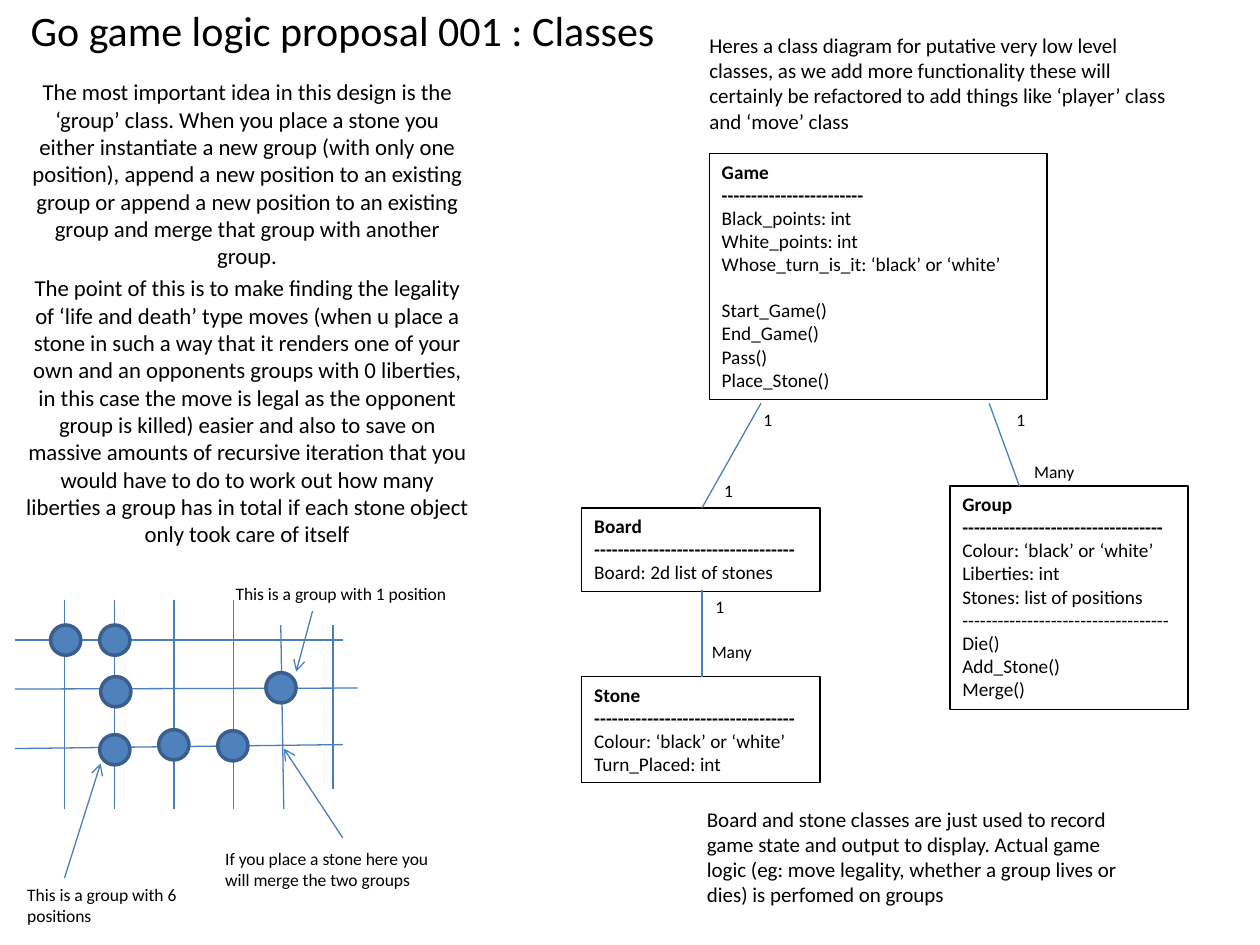
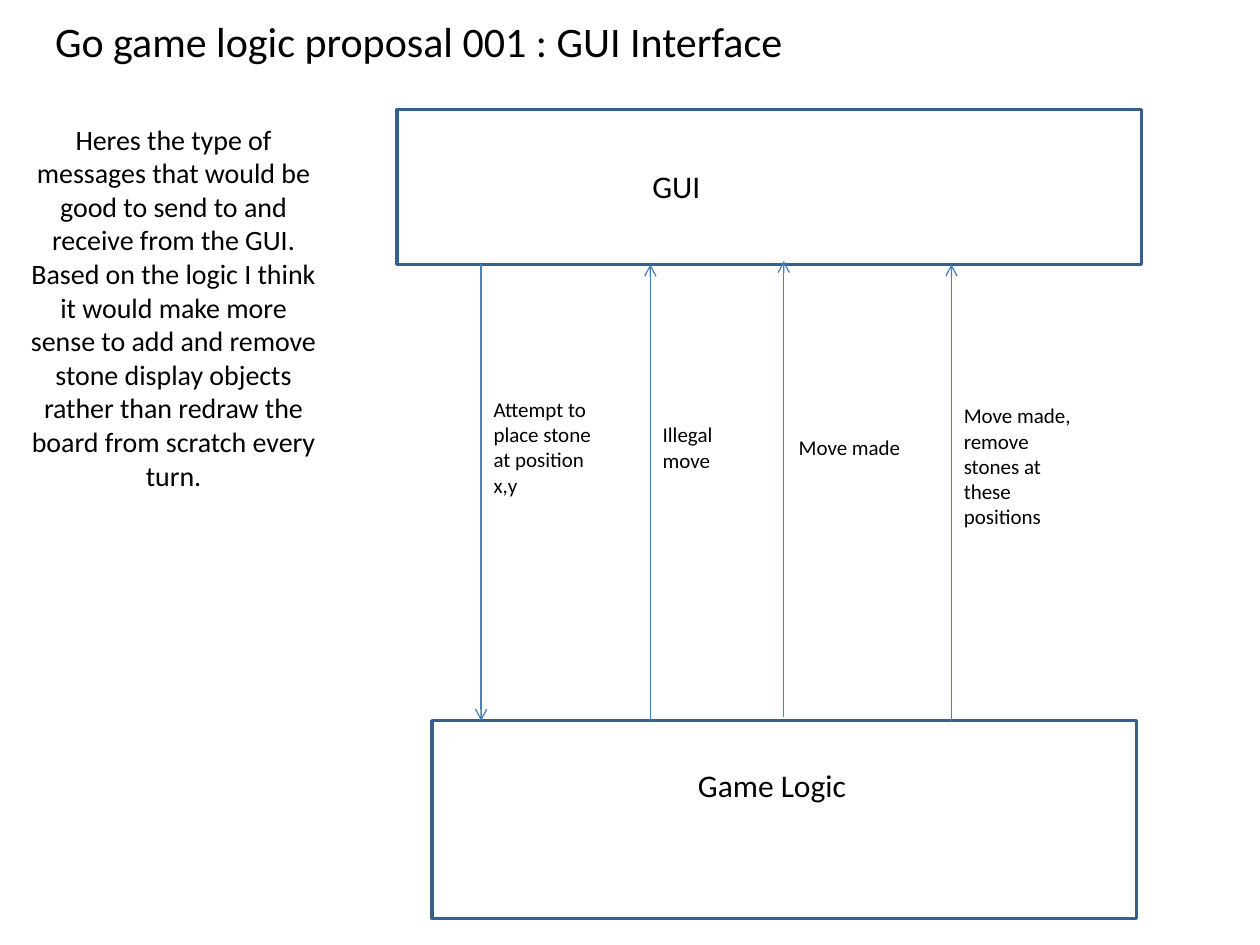
from dataclasses import dataclass

from lxml import etree
from pptx import Presentation
from pptx.dml import color
from pptx.enum import shapes, text
from pptx.oxml import ns
from pptx.util import Cm, Pt


@dataclass(frozen=True)
class Theme:
    font: str = "Calibri"
    ink: color.RGBColor = color.RGBColor.from_string("000000")
    stone: color.RGBColor = color.RGBColor.from_string("4F81BD")
    border: color.RGBColor = color.RGBColor.from_string("3A5F8C")
    line: color.RGBColor = color.RGBColor.from_string("4B7EBC")
    thin: float = 0.75
    thick: float = 2
    title: int = 24
    component: int = 18
    message_intro: int = 16
    design_intro: int = 13
    body: int = 12
    members: int = 11
    caption: int = 10


THEME = Theme()
CENTER = text.PP_ALIGN.CENTER

presentation = Presentation()
presentation.slide_width = Cm(25.4)
presentation.slide_height = Cm(19.05)
blank = presentation.slide_layouts[6]


def add_text(slide, lines, place, size, align=None, anchor=None, bold_lines=0,
             space_before=0, gap_at=None):
    """Add a text box with one paragraph a line; gap_at leaves a line free above it."""
    box = slide.shapes.add_textbox(*map(Cm, place))
    frame = box.text_frame
    frame.word_wrap = True
    frame.vertical_anchor = anchor
    for index, line in enumerate(lines):
        paragraph = frame.paragraphs[0] if index == 0 else frame.add_paragraph()
        paragraph.alignment = align
        paragraph.space_before = Pt(size * 1.2 if index == gap_at else space_before)
        run = paragraph.add_run()
        run.text = line
        run.font.name = THEME.font
        run.font.size = Pt(size)
        run.font.bold = index < bold_lines
        run.font.color.rgb = THEME.ink
    return box


def add_line(slide, ends, arrow=False):
    """Draw a thin straight line from x1, y1 to x2, y2, with an arrowhead if asked."""
    connector = slide.shapes.add_connector(shapes.MSO_CONNECTOR.STRAIGHT, *map(Cm, ends))
    connector.line.color.rgb = THEME.line
    connector.line.width = Pt(THEME.thin)
    if arrow:
        etree.SubElement(connector.line._get_or_add_ln(), ns.qn("a:tailEnd"), type="arrow")
    etree.SubElement(connector._element.spPr, ns.qn("a:effectLst"))


# Titles and introductions of both slides
pages = [
    ("Classes", (-1.09, -0.51, 16, 2.21), (0.28, 1.45, 9.4, 10.31), THEME.design_intro, [
        "The most important idea in this design is the ‘group’ class. When you place a stone "
        "you either instantiate a new group (with only one position), append a new position "
        "to an existing group or append a new position to an existing group and merge that "
        "group with another group.",
        "The point of this is to make finding the legality of ‘life and death’ type moves "
        "(when u place a stone in such a way that it renders one of your own and an opponents "
        "groups with 0 liberties, in this case the move is legal as the opponent group is "
        "killed) easier and also to save on massive amounts of recursive iteration that you "
        "would have to do to work out how many liberties a group has in total if each stone "
        "object only took care of itself"]),
    ("GUI Interface", (-2.11, -0.28, 21.11, 2.21), (0.3, 2.34, 6.4, 9.6), THEME.message_intro, [
        "Heres the type of messages that would be good to send to and receive from the GUI. "
        "Based on the logic I think it would make more sense to add and remove stone display "
        "objects rather than redraw the board from scratch every turn."]),
]
slides = []
for topic, title_place, intro_place, intro_size, intro in pages:
    slide = presentation.slides.add_slide(blank)
    add_text(slide, [f"Go game logic proposal 001 : {topic}"], title_place, THEME.title,
             align=CENTER, anchor=text.MSO_ANCHOR.MIDDLE)
    add_text(slide, intro, intro_place, intro_size, align=CENTER,
             space_before=intro_size * 0.2)
    slides.append(slide)
class_slide, gui_slide = slides

# Slide 1: the board with its stones
board_rows = [(0.3, 12.9, 6.91, 12.9), (0.3, 13.89, 7.21, 13.87), (0.3, 15.09, 6.91, 15.01)]
board_columns = [(x, 12.09, x, 16.31) for x in (1.3, 2.31, 3.51, 4.7)]
board_columns += [(5.66, 12.6, 5.72, 16.31), (6.71, 12.6, 6.71, 15.9)]
for ends in board_rows + board_columns:
    add_line(class_slide, ends)

stone_size = 0.61
stones = [(1.02, 12.6), (2.01, 12.6), (2.03, 13.64), (2.01, 14.81), (3.2, 14.71),
          (4.39, 14.73), (5.36, 13.56)]
for left, top in stones:
    stone = class_slide.shapes.add_shape(
        shapes.MSO_SHAPE.OVAL, Cm(left), Cm(top), Cm(stone_size), Cm(stone_size))
    stone.shadow.inherit = False
    stone.fill.solid()
    stone.fill.fore_color.rgb = THEME.stone
    stone.line.color.rgb = THEME.border
    stone.line.width = Pt(THEME.thick)

pointers = [(1.3, 17.7, 2.03, 15.39), (6.3, 12.32, 5.97, 13.54), (6.91, 16.89, 5.72, 15.09)]
for ends in pointers:
    add_line(class_slide, ends, arrow=True)

# Slide 1: the class diagram
classes = [
    ("Game", 24, (14.3, 3.1, 6.81, 4.95), 5,
     ["Black_points: int", "White_points: int", "Whose_turn_is_it: ‘black’ or ‘white’",
      "Start_Game()", "End_Game()", "Pass()", "Place_Stone()"]),
    ("Group", 34, (19.15, 9.8, 4.8, 4.5), None,
     ["Colour: ‘black’ or ‘white’", "Liberties: int", "Stones: list of positions", "-" * 35,
      "Die()", "Add_Stone()", "Merge()"]),
    ("Board", 34, (11.73, 10.24, 4.8, 1.68), None, ["Board: 2d list of stones"]),
    ("Stone", 34, (11.73, 13.64, 4.8, 2.13), None,
     ["Colour: ‘black’ or ‘white’", "Turn_Placed: int"]),
]
for name, dashes, place, gap_at, members in classes:
    class_box = add_text(class_slide, [name, "-" * dashes, *members], place, THEME.members,
                         bold_lines=2, gap_at=gap_at)
    class_box.line.color.rgb = THEME.ink
    class_box.line.width = Pt(THEME.thin)

relations = [(15.34, 8.13, 14.15, 10.24), (19.94, 8.13, 20.55, 9.8),
             (14.15, 11.89, 14.15, 13.64)]
for ends in relations:
    add_line(class_slide, ends)

# Slide 1: captions, multiplicities and remarks
captions = [
    ("This is a group with 6 positions", 0.3, 17.7, 1.12),
    ("If you place a stone here you will merge the two groups", 4.29, 16.97, 1.12),
    ("This is a group with 1 position", 4.5, 11.63, 0.69),
    ("1", 15.14, 8.13, 0.69),
    ("1", 14.35, 9.55, 0.69),
    ("1", 20.24, 8.13, 0.69),
    ("Many", 20.6, 9.17, 0.69),
    ("1", 14.17, 11.89, 0.69),
    ("Many", 14.1, 12.8, 0.69),
]
for caption, left, top, height in captions:
    add_text(class_slide, [caption], (left, top, 4.8, height), THEME.caption)

remarks = [
    ("Heres a class diagram for putative very low level classes, as we add more functionality "
     "these will certainly be refactored to add things like ‘player’ class and ‘move’ class",
     (14.05, 0.53, 9.73, 2.31)),
    ("Board and stone classes are just used to record game state and output to display. "
     "Actual game logic (eg: move legality, whether a group lives or dies) is perfomed on "
     "groups", (14, 16.13, 8.81, 2.31)),
]
for remark, place in remarks:
    add_text(class_slide, [remark], place, THEME.body)

# Slide 2: the two components
components = [
    ("GUI", (12.9, 3.25, 8.2, 1.02), (8, 2.21, 15.01, 3.12)),
    ("Game Logic", (13.82, 15.32, 8.2, 1.02), (8.71, 14.53, 14.2, 3.99)),
]
for name, label_place, frame_place in components:
    component = gui_slide.shapes.add_shape(shapes.MSO_SHAPE.RECTANGLE, *map(Cm, frame_place))
    component.shadow.inherit = False
    component.fill.background()
    component.line.color.rgb = THEME.border
    component.line.width = Pt(THEME.thick)
    add_text(gui_slide, [name], label_place, THEME.component)

# Slide 2: the messages between them
messages = [
    ("Attempt to place stone at position x,y", (9.7, 5.33, 9.7, 14.53), (9.7, 7.87, 2.79, 2.31)),
    ("Illegal move", (13.11, 14.53, 13.11, 5.33), (13.11, 8.38, 1.8, 1.27)),
    ("Move made", (15.8, 14.45, 15.8, 5.26), (15.85, 8.64, 2.79, 0.76)),
    ("Move made, remove stones at these positions", (19.18, 14.53, 19.18, 5.33),
     (19.18, 8, 2.79, 2.82)),
]
for message, ends, place in messages:
    add_line(gui_slide, ends, arrow=True)
    add_text(gui_slide, [message], place, THEME.body)

presentation.save("out.pptx")
